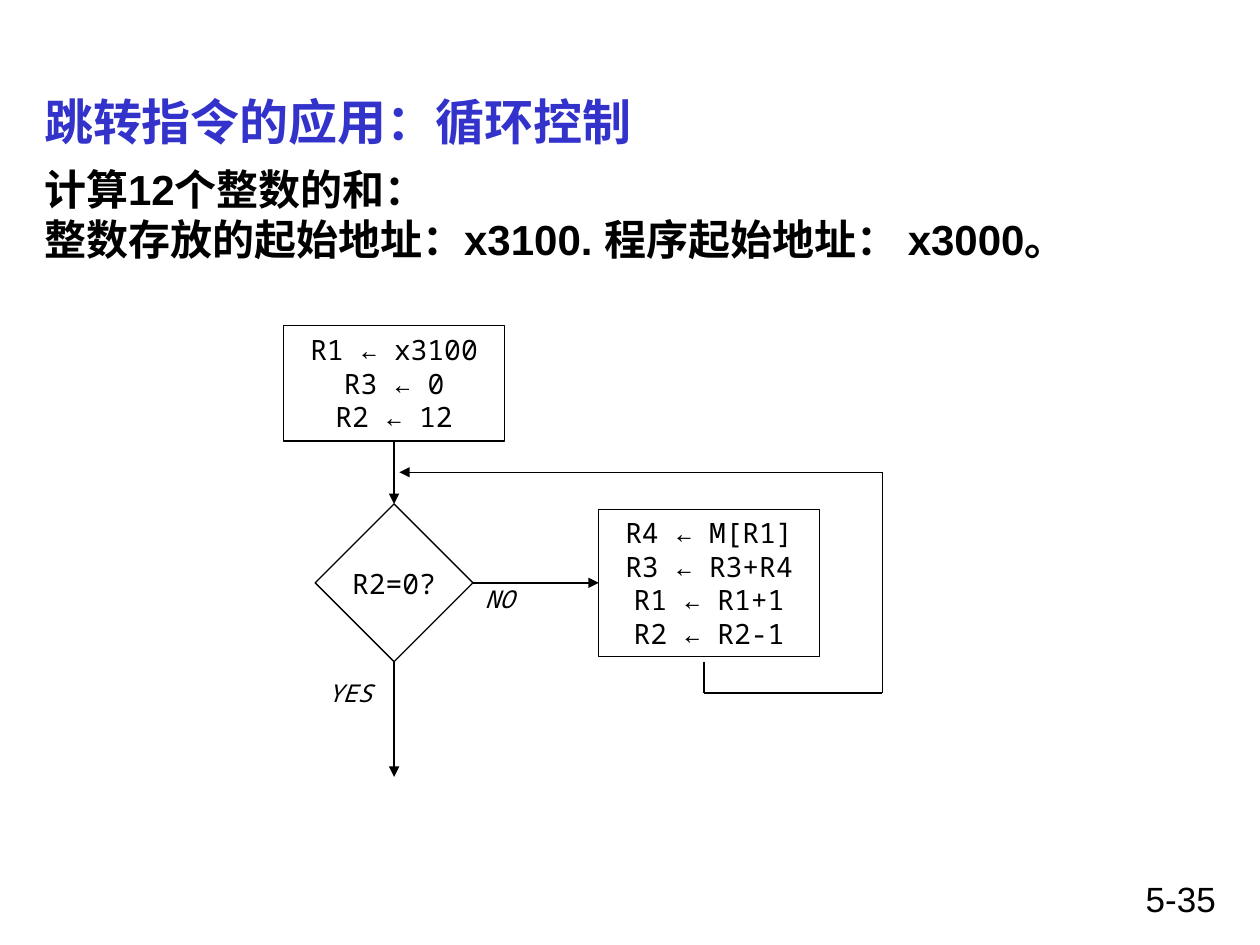
from copy import deepcopy
from dataclasses import dataclass
from itertools import pairwise

from lxml.etree import SubElement
from pptx import Presentation
from pptx.dml.color import RGBColor
from pptx.enum.shapes import MSO_CONNECTOR as Connector, MSO_SHAPE as Preset
from pptx.enum.text import MSO_ANCHOR as Anchor, MSO_AUTO_SIZE as AutoSize, PP_ALIGN as Align
from pptx.oxml.ns import qn
from pptx.util import Cm, Pt


@dataclass(frozen=True)
class Theme:
    """Colours, fonts and sizes of the slide."""
    ink: RGBColor = RGBColor(0x00, 0x00, 0x00)
    accent: RGBColor = RGBColor(0x33, 0x33, 0xCC)
    sans: str = "Arial"
    mono: str = "Noto Sans Mono"
    title: Pt = Pt(28)
    body: Pt = Pt(24)
    number: Pt = Pt(20)
    code: Pt = Pt(16)
    label: Pt = Pt(14)
    line: Pt = Pt(0.75)


THEME = Theme()
SANS = {"name": THEME.sans}
CODE = {"name": THEME.mono, "size": THEME.code}
LABEL = {"name": THEME.mono, "size": THEME.label, "italic": True}


def write(shape, paragraphs, style, align=Align.LEFT, anchor=Anchor.TOP, wrap=True):
    """Fill a shape with paragraphs in one style, line breaks included."""
    frame = shape.text_frame
    frame.word_wrap = wrap
    frame.vertical_anchor = anchor
    for index, text in enumerate(paragraphs):
        para = frame.add_paragraph() if index else frame.paragraphs[0]
        para.text = text
        para.alignment = align
        for span in para.runs:
            span.font.color.rgb = THEME.ink
            for name, value in style.items():
                if name == "color":
                    span.font.color.rgb = value
                else:
                    setattr(span.font, name, value)
        for line_break in para._p.findall(qn("a:br")):
            line_break.append(deepcopy(para.runs[0]._r.rPr))


def add_text(page, box, text, style, **layout):
    """Place a text box of one paragraph."""
    shape = page.shapes.add_textbox(*map(Cm, box))
    write(shape, [text], style, **layout)
    return shape


def add_step(page, preset, box, paragraphs):
    """Place an outlined flowchart step."""
    shape = page.shapes.add_shape(preset, *map(Cm, box))
    shape.shadow.inherit = False
    shape.fill.background()
    shape.line.color.rgb = THEME.ink
    shape.line.width = THEME.line
    write(shape, paragraphs, CODE, Align.CENTER, Anchor.MIDDLE, wrap=False)


def add_route(page, points):
    """Join points with straight lines and put an arrowhead on the last."""
    for start, end in pairwise(points):
        line = page.shapes.add_connector(Connector.STRAIGHT, *map(Cm, (*start, *end)))
        line.line.color.rgb = THEME.ink
        line.line.width = THEME.line
        SubElement(line._element.spPr, qn("a:effectLst"))
    SubElement(line._element.spPr.find(qn("a:ln")), qn("a:tailEnd"), type="triangle")


def add_heading(page, left, top, width):
    """Place the title and the task below it."""
    add_text(page, (left, top, width, 1.48), "跳转指令的应用：循环控制",
             {**SANS, "size": THEME.title, "bold": True, "color": THEME.accent},
             anchor=Anchor.MIDDLE)
    add_text(page, (left, top + 1.48, width, 13.76),
             "计算12个整数的和：\n整数存放的起始地址：x3100. 程序起始地址： x3000。",
             {**SANS, "size": THEME.body, "bold": True})


def add_flowchart(page, left, top):
    """Draw the loop flowchart from its top left corner."""
    def at(x, y):
        return left + x, top + y

    width, side = 4.45, 3.18
    axis = width / 2
    test_left, test_top = axis - side / 2, 3.6
    middle, test_bottom = test_top + side / 2, test_top + side
    work_left, work_height = 6.35, 2.96

    add_step(page, Preset.RECTANGLE, (*at(0, 0), width, 2.33),
             ["R1 ← x3100\nR3 ← 0\nR2 ← 12"])
    add_step(page, Preset.DIAMOND, (*at(test_left, test_top), side, side), ["R2=0?"])
    add_step(page, Preset.RECTANGLE,
             (*at(work_left, middle - work_height / 2), width, work_height),
             ["R4 ← M[R1]\nR3 ← R3+R4\nR1 ← R1+1", "R2 ← R2-1"])

    routes = [
        [(axis, 2.33), (axis, test_top)],
        [(test_left + side, middle), (work_left, middle)],
        [(8.47, test_bottom), (8.47, 7.41), (12.07, 7.41), (12.07, 2.96), (2.33, 2.96)],
        [(axis, test_bottom), (axis, 9.1)],
    ]
    for route in routes:
        add_route(page, [at(*point) for point in route])

    for text, x, y, label_width in (("NO", 3.75, 5.08, 1.2), ("YES", 0.64, 6.99, 1.4)):
        label = add_text(page, (*at(x, y), label_width, 0.84), text, LABEL,
                         align=Align.CENTER, wrap=False)
        label.text_frame.auto_size = AutoSize.SHAPE_TO_FIT_TEXT


def add_page_number(page, box):
    """Place the page number in the given box."""
    add_text(page, box, "5-35", {**SANS, "size": THEME.number}, align=Align.RIGHT)


def main():
    """Build the slide and save it."""
    deck = Presentation()
    deck.slide_width, deck.slide_height = Cm(25.4), Cm(19.05)
    page = deck.slides.add_slide(deck.slide_layouts[6])
    add_heading(page, 0.64, 1.69, 24.13)
    add_flowchart(page, 5.72, 6.56)
    add_page_number(page, (18.21, 17.57, 6.55, 1.07))
    deck.save("out.pptx")


if __name__ == "__main__":
    main()
